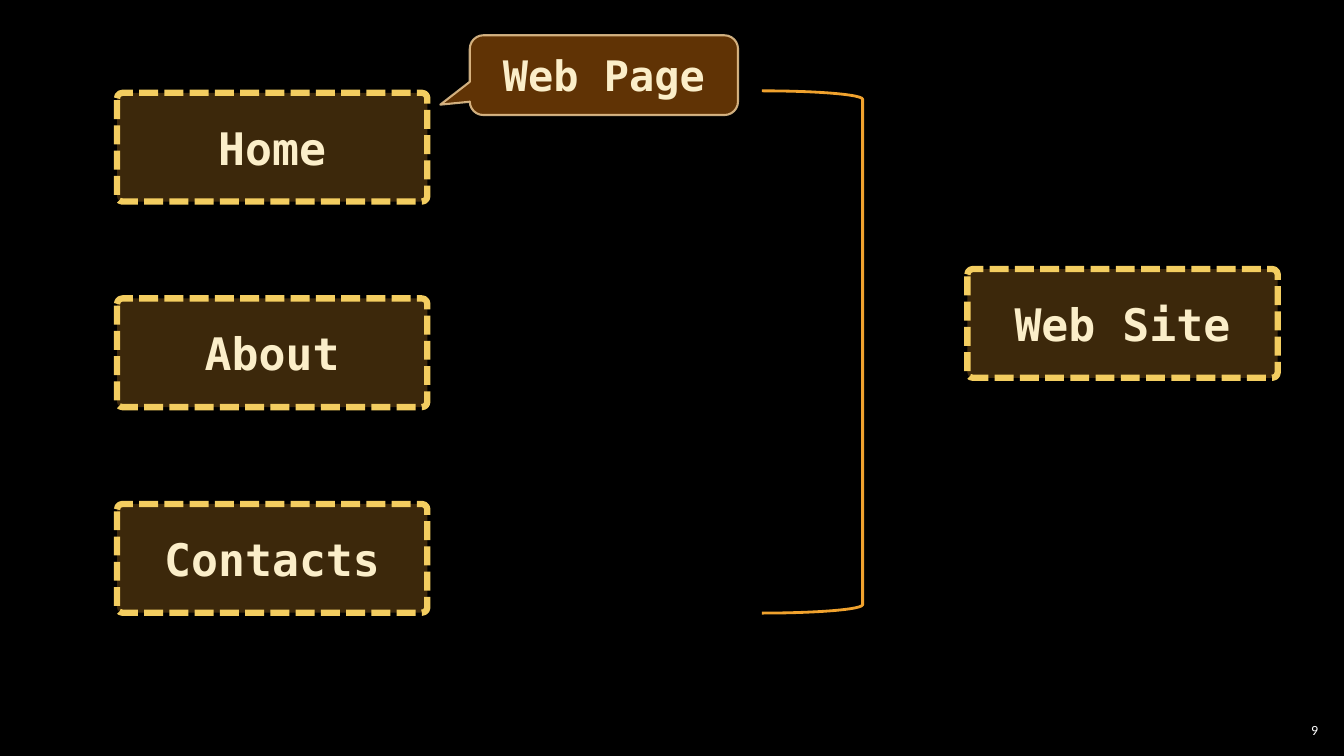
from lxml import etree
from pptx import Presentation
from pptx.dml.color import RGBColor
from pptx.enum import dml, shapes, text
from pptx.oxml import ns
from pptx.util import Cm, Pt


def paint(fill, color, opacity=100):
    fill.solid()
    fill.fore_color.rgb = RGBColor.from_string(color)
    if opacity < 100:
        solid = fill._xPr.find(ns.qn("a:solidFill"))
        etree.SubElement(solid[0], ns.qn("a:alpha"), val=str(opacity * 1000))


def write(place, words, font_format, color, align):
    place.text_frame.word_wrap = True
    place.text_frame.vertical_anchor = text.MSO_ANCHOR.MIDDLE
    paragraph = place.text_frame.paragraphs[0]
    paragraph.alignment = align
    run = paragraph.add_run()
    run.text = words
    for key, value in font_format.items():
        setattr(run.font, key, value)
    paint(run.font.fill, color)


deck = Presentation()
deck.slide_width, deck.slide_height = Cm(33.87), Cm(19.05)
slide = deck.slides.add_slide(deck.slide_layouts[6])
paint(slide.background.fill, "000000")

label_format = {"name": "DejaVu Sans Mono", "size": Pt(32), "bold": True}
callout_format = {**label_format, "size": Pt(30)}
number_format = {"name": "Calibri", "size": Pt(10)}
center, right = text.PP_ALIGN.CENTER, text.PP_ALIGN.RIGHT

page_number = slide.shapes.add_textbox(Cm(32.13), Cm(18.14), Cm(1.19), Cm(0.53))
for side in ("left", "top", "right", "bottom"):
    setattr(page_number.text_frame, f"margin_{side}", Cm(0.1))
write(page_number, "9", number_format, "FFFFFF", right)

pages = ["Home", "About", "Contacts"]
boxes = [(name, 2.95, 2.34 + 5.18 * row) for row, name in enumerate(pages)]
boxes.append(("Web Site", 24.38, 6.78))
for name, left, top in boxes:
    box = slide.shapes.add_shape(
        shapes.MSO_SHAPE.ROUNDED_RECTANGLE, Cm(left), Cm(top), Cm(7.82), Cm(2.74))
    box.adjustments[0] = 0.05
    box.shadow.inherit = False
    paint(box.fill, "F0A22E", 25)
    paint(box.line.fill, "F3CD60")
    box.line.width = Pt(4.5)
    box.line.dash_style = dml.MSO_LINE.SQUARE_DOT
    write(box, name, label_format, "FBEEC9", center)

bracket = slide.shapes.add_shape(
    shapes.MSO_SHAPE.RIGHT_BRACKET, Cm(19.2), Cm(2.29), Cm(2.54), Cm(13.16))
bracket.shadow.inherit = False
bracket.fill.background()
paint(bracket.line.fill, "F0A22E")
bracket.line.width = Pt(2)

web_page = slide.shapes.add_shape(
    shapes.MSO_SHAPE.ROUNDED_RECTANGULAR_CALLOUT, Cm(11.84), Cm(0.89), Cm(6.76), Cm(2.01))
for index, value in enumerate((-0.61, 0.37, 0.17)):
    web_page.adjustments[index] = value
web_page.shadow.inherit = False
paint(web_page.fill, "663606", 95)
paint(web_page.line.fill, "F8D49E", 80)
web_page.line.width = Pt(1.5)
write(web_page, "Web Page", callout_format, "FBEEC9", center)

deck.save("out.pptx")
